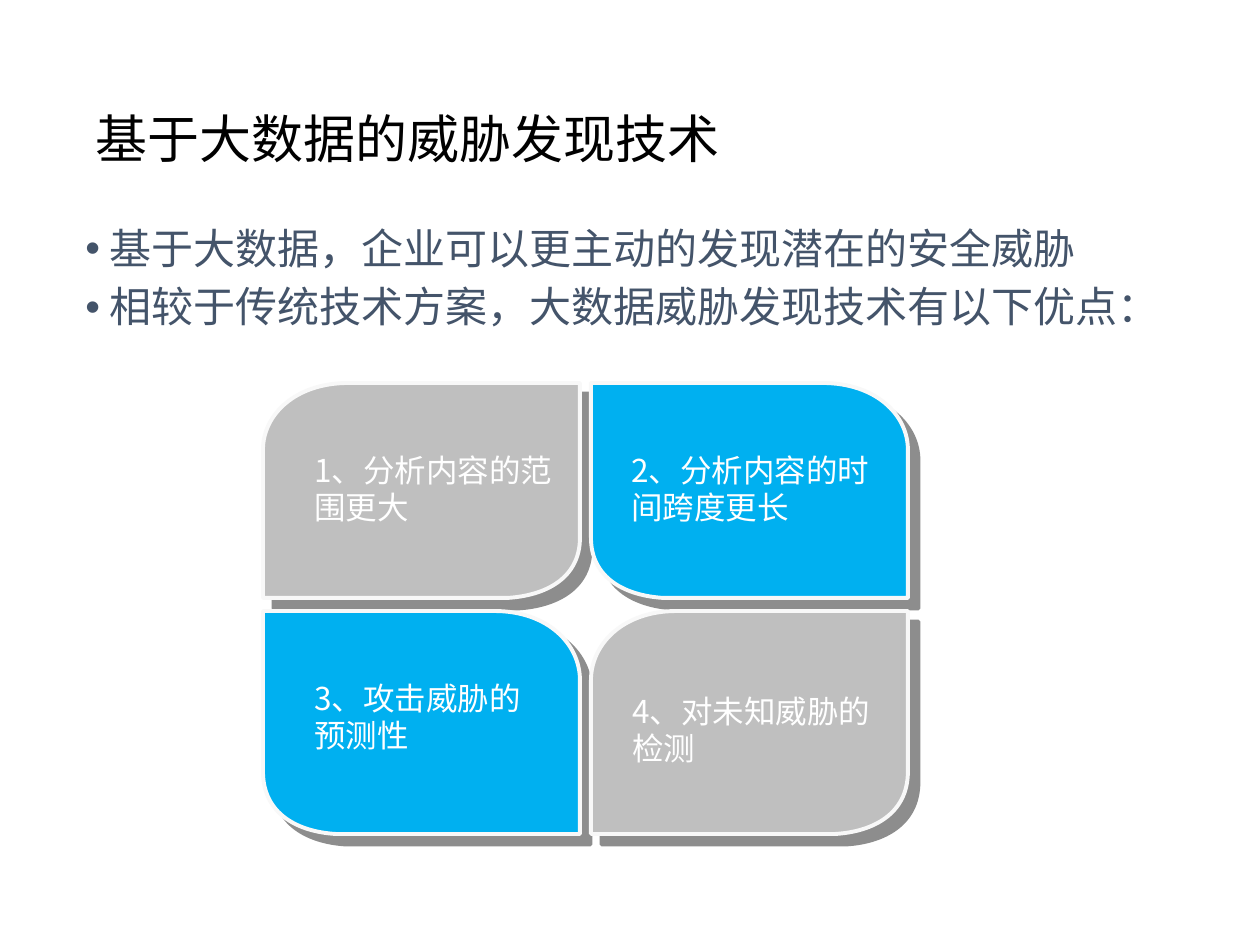
from lxml import etree
from pptx import Presentation
from pptx.dml.color import RGBColor
from pptx.enum.text import MSO_ANCHOR, MSO_AUTO_SIZE
from pptx.oxml.ns import qn
from pptx.util import Pt

SCALE = 914400 / 126
FONT = "Noto Sans CJK SC"
TOP, MIDDLE = MSO_ANCHOR.TOP, MSO_ANCHOR.MIDDLE
GROW = MSO_AUTO_SIZE.SHAPE_TO_FIT_TEXT
GRAY, BLUE, WHITE = "BFBFBF", "00B0F0", "FFFFFF"
PETAL_START = (0.77, 1)
PETAL_CURVES = (
    ((0.38, 1), (0, 1), (0, 1)),
    ((0, 1), (0, 0.66), (0, 0.31)),
    ((0, 0.15), (0.1, 0), (0.27, 0)),
    ((0.64, 0), (1, 0), (1, 0)),
    ((1, 0), (1, 0.36), (1, 0.72)),
    ((1, 0.91), (0.89, 0.99), PETAL_START),
)


def px(value):
    return round(value * SCALE)


def color(code):
    return RGBColor.from_string(code)


def add_child(parent, tag, **attributes):
    child = etree.SubElement(parent, qn(tag))
    for name, value in attributes.items():
        child.set(name, str(value))
    return child


def add_bullet(para, indent):
    properties = para._p.get_or_add_pPr()
    properties.set("marL", str(px(indent)))
    properties.set("indent", str(-px(indent)))
    add_child(properties, "a:buFont", typeface="Arial")
    add_child(properties, "a:buChar", char="•")


def add_text(page, place, lines, size, code, anchor=MIDDLE, bullet=False,
             grow=False, para_format=None):
    box = page.shapes.add_textbox(*map(px, place))
    frame = box.text_frame
    frame.word_wrap = True
    frame.vertical_anchor = anchor
    if grow:
        frame.auto_size = GROW
    for index, line in enumerate(lines):
        para = frame.add_paragraph() if index else frame.paragraphs[0]
        if bullet:
            add_bullet(para, 24)
        for name, value in (para_format or {}).items():
            if index or name != "space_before":
                setattr(para, name, value)
        span = para.add_run()
        span.text = line
        for name, value in {"size": Pt(size), "name": FONT}.items():
            setattr(span.font, name, value)
        span.font.color.rgb = color(code)
        add_child(span.font._element, "a:ea", typeface=FONT)


def lines_to_curves(shape):
    outline = next(shape._element.iter(qn("a:path")))
    segments = outline.findall(qn("a:lnTo"))
    for first in range(0, len(segments), 3):
        curve = etree.Element(qn("a:cubicBezTo"))
        segments[first].addprevious(curve)
        for segment in segments[first:first + 3]:
            curve.append(segment[0])
            outline.remove(segment)


def add_shadow(shape):
    shape.shadow.inherit = False
    effects = shape._element.spPr.find(qn("a:effectLst"))
    shadow = add_child(effects, "a:outerShdw", blurRad=0, dist=Pt(8.5),
                       dir=45 * 60000, algn="ctr", rotWithShape=0)
    shade = add_child(shadow, "a:srgbClr", val="1C1C1C")
    add_child(shade, "a:alpha", val=50000)


def add_petal(page, left, top, width, height, fill, mirrored):
    def place(point):
        x, y = point
        return px(left + (1 - x if mirrored else x) * width), px(top + y * height)

    builder = page.shapes.build_freeform(*place(PETAL_START))
    builder.add_line_segments(
        [place(point) for curve in PETAL_CURVES for point in curve], close=True)
    petal = builder.convert_to_shape()
    lines_to_curves(petal)
    petal.fill.solid()
    petal.fill.fore_color.rgb = color(fill)
    petal.line.color.rgb = color("F8F8F8")
    petal.line.width = Pt(2.25)
    add_shadow(petal)


def main():
    deck = Presentation()
    deck.slide_width, deck.slide_height = px(1260), px(945)
    page = deck.slides.add_slide(deck.slide_layouts[6])

    add_text(page, (83, 108, 726, 67), ["基于大数据的威胁发现技术"], 29.7, "000000",
             para_format={"line_spacing": 0.9})
    add_text(page, (73, 222, 1129, 161),
             ["基于大数据，企业可以更主动的发现潜在的安全威胁",
              "相较于传统技术方案，大数据威胁发现技术有以下优点："],
             24, "44546A", anchor=TOP, bullet=True,
             para_format={"line_spacing": 0.9, "space_before": Pt(7.5)})

    columns = (263, 591)
    rows = ((383, 215), (611, 223))
    for row, (top, height) in enumerate(rows):
        for column, left in enumerate(columns):
            mirrored = row != column
            add_petal(page, left, top, 317, height, BLUE if mirrored else GRAY, mirrored)

    advantages = (
        (302, 444, 270, "1、分析内容的范围更大"),
        (619, 444, 270, "2、分析内容的时间跨度更长"),
        (302, 672, 255, "3、攻击威胁的预测性"),
        (620, 685, 270, "4、对未知威胁的检测"),
    )
    for left, top, width, label in advantages:
        add_text(page, (left, top, width, 89), [label], 18, WHITE, grow=True)

    deck.save("out.pptx")


if __name__ == "__main__":
    main()
